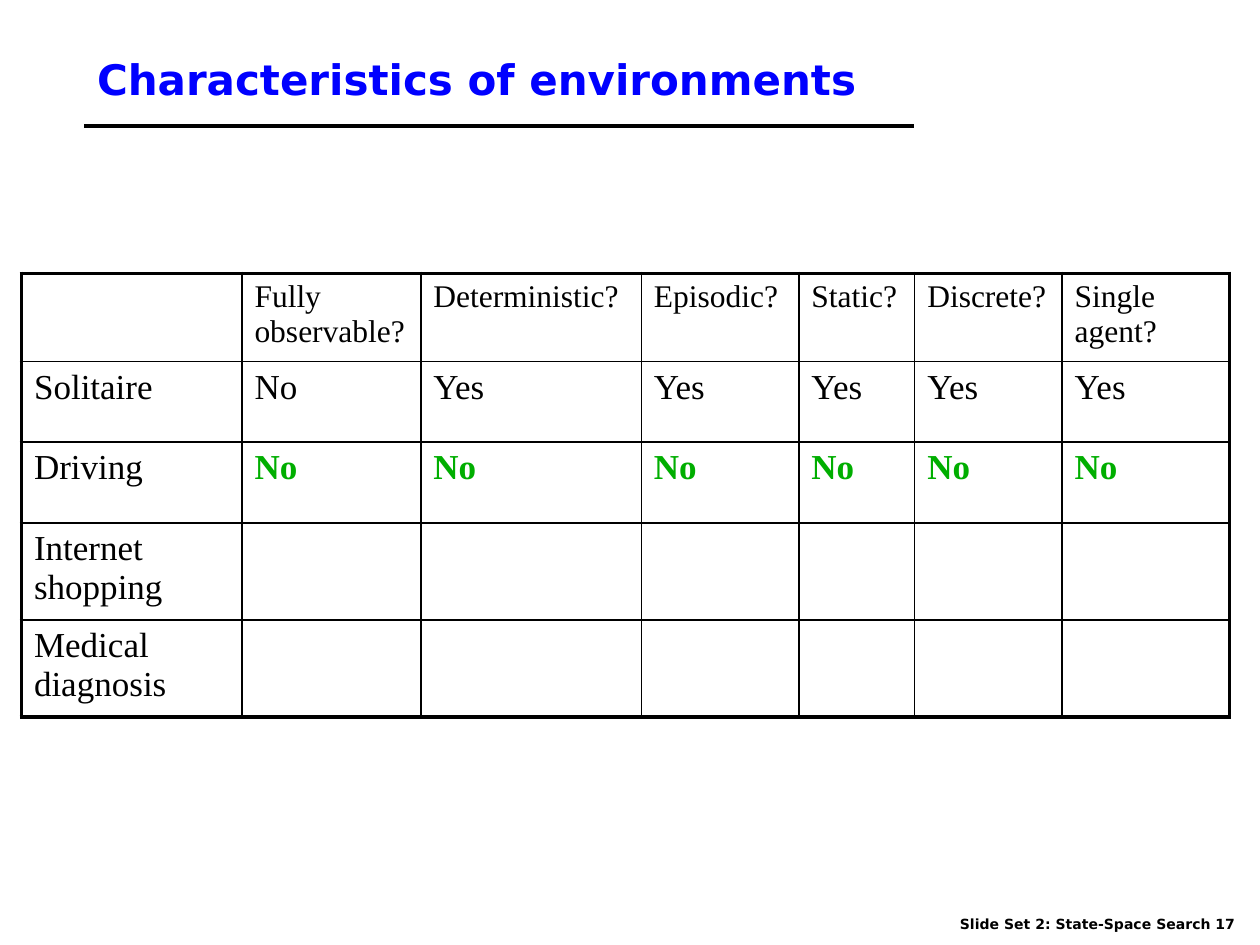
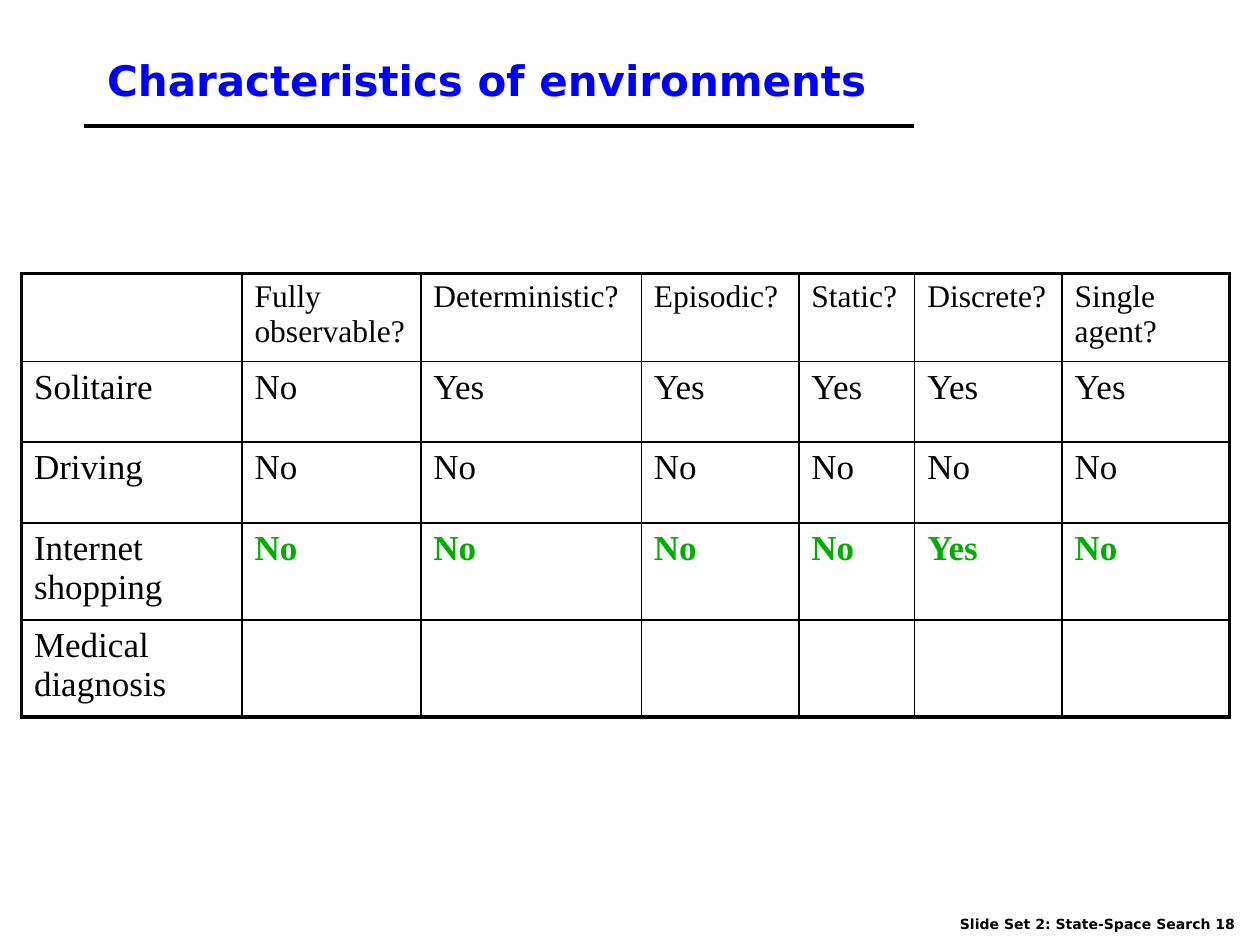
from lxml import etree
from pptx import Presentation
from pptx.dml.color import RGBColor
from pptx.enum import shapes, text
from pptx.oxml import ns
from pptx.util import Inches, Pt

# Content
TITLE = "Characteristics of environments"
FOOTER = "Slide Set 2: State-Space Search"
QUESTIONS = ["", "Fully observable?", "Deterministic?", "Episodic?",
             "Static?", "Discrete?", "Single agent?"]
ENVIRONMENTS = {
    "Solitaire": ["No", "Yes", "Yes", "Yes", "Yes", "Yes"],
    "Driving": ["No"] * 6,
    "Internet shopping": ["No", "No", "No", "No", "Yes", "No"],
    "Medical diagnosis": [""] * 6,
}
# Environments are answered one by one; the newest answers are highlighted
PAGES = [
    {"number": 17, "newest": "Driving", "title_box": (0.67, 0.25, 8.5, 0.75)},
    {"number": 18, "newest": "Internet shopping", "title_box": (0.75, 0.17, 8.5, 0.92)},
]

# Shared look
BLACK, BLUE, GREEN = "000000", "0000FF", "00AE00"
SANS, SERIF = "DejaVu Sans", "Times New Roman"
THICK, THIN = Pt(2.25), Pt(1)
TITLE_FONT = {"name": SANS, "size": Pt(24), "bold": True}
FOOTER_FONT = {"name": SANS, "size": Pt(8), "bold": True}
QUESTION_FONT = {"name": SERIF, "size": Pt(18), "bold": False}
ANSWER_FONT = {"name": SERIF, "size": Pt(20), "bold": False}
NEWEST_FONT = {**ANSWER_FONT, "bold": True}
INSETS = {"margin_left": Inches(0.1), "margin_right": Inches(0.1),
          "margin_top": Inches(0.05), "margin_bottom": Inches(0.05)}
TITLE_FRAME = {**INSETS, "vertical_anchor": text.MSO_ANCHOR.MIDDLE,
               "word_wrap": True, "auto_size": text.MSO_AUTO_SIZE.NONE}
FOOTER_FRAME = {**INSETS, "word_wrap": False,
                "auto_size": text.MSO_AUTO_SIZE.SHAPE_TO_FIT_TEXT}
PLAIN_TABLE = {"first_row": False, "horz_banding": False}
COLUMN_WIDTHS = [1.75, 1.42, 1.75, 1.25, 0.92, 1.17, 1.33]
ROW_HEIGHTS = [0.7, 0.64, 0.64, 0.77, 0.77]


def rgb(color):
    return RGBColor.from_string(color)


def apply(target, values):
    for name, value in values.items():
        setattr(target, name, value)


def box(*lengths):
    return [Inches(length) for length in lengths]


def write(frame, words, font, color):
    paragraph = frame.paragraphs[0]
    paragraph.alignment = text.PP_ALIGN.LEFT
    run = paragraph.add_run()
    run.text = words
    apply(run.font, font)
    run.font.color.rgb = rgb(color)


def add_heading(slide, title_box):
    title = slide.shapes.title
    apply(title, dict(zip(("left", "top", "width", "height"), box(*title_box))))
    apply(title.text_frame, TITLE_FRAME)
    write(title.text_frame, TITLE, TITLE_FONT, BLUE)

    rule = slide.shapes.add_connector(shapes.MSO_CONNECTOR.STRAIGHT, *box(0.67, 1, 7.25, 1))
    rule.line.color.rgb = rgb(BLACK)
    rule.line.width = THICK
    etree.SubElement(rule._element.spPr, ns.qn("a:effectLst"))


def add_footer(slide, number):
    footer = slide.shapes.add_textbox(*box(7.52, 7.22, 2.43, 0.23))
    apply(footer.text_frame, FOOTER_FRAME)
    write(footer.text_frame, f"{FOOTER} {number}", FOOTER_FONT, BLACK)


def set_borders(cell, widths):
    properties = cell._tc.get_or_add_tcPr()
    for side, width in widths.items():
        line = etree.SubElement(properties, ns.qn(f"a:ln{side}"), w=str(int(width)))
        fill = etree.SubElement(line, ns.qn("a:solidFill"))
        etree.SubElement(fill, ns.qn("a:srgbClr"), val=BLACK)


def add_environments(slide, newest):
    # Rows after the newest environment show no answers yet
    names = list(ENVIRONMENTS)
    answered = names[:names.index(newest) + 1]
    rows = [QUESTIONS] + [
        [name] + (answers if name in answered else [""] * len(answers))
        for name, answers in ENVIRONMENTS.items()]
    newest_row = len(answered)
    last_row, last_column = len(rows) - 1, len(QUESTIONS) - 1

    table = slide.shapes.add_table(
        len(rows), len(QUESTIONS),
        *box(0.17, 2.17, sum(COLUMN_WIDTHS), sum(ROW_HEIGHTS))).table
    apply(table, PLAIN_TABLE)
    for column, width in zip(table.columns, COLUMN_WIDTHS):
        column.width = Inches(width)
    for row, height in zip(table.rows, ROW_HEIGHTS):
        row.height = Inches(height)

    for r, row in enumerate(rows):
        for c, words in enumerate(row):
            cell = table.cell(r, c)
            apply(cell, INSETS)
            # Thick frame around the table, thin lines inside
            outer = {"L": c == 0, "R": c == last_column, "T": r == 0, "B": r == last_row}
            set_borders(cell, {side: THICK if edge else THIN for side, edge in outer.items()})
            cell.fill.background()
            if not words:
                continue
            if r == newest_row and c > 0:
                write(cell.text_frame, words, NEWEST_FONT, GREEN)
            else:
                write(cell.text_frame, words, ANSWER_FONT if r else QUESTION_FONT, BLACK)


def main():
    deck = Presentation()
    deck.slide_width, deck.slide_height = box(10, 7.5)
    title_only = deck.slide_layouts[5]
    for page in PAGES:
        slide = deck.slides.add_slide(title_only)
        add_heading(slide, page["title_box"])
        add_environments(slide, page["newest"])
        add_footer(slide, page["number"])
    deck.save("out.pptx")


if __name__ == "__main__":
    main()
